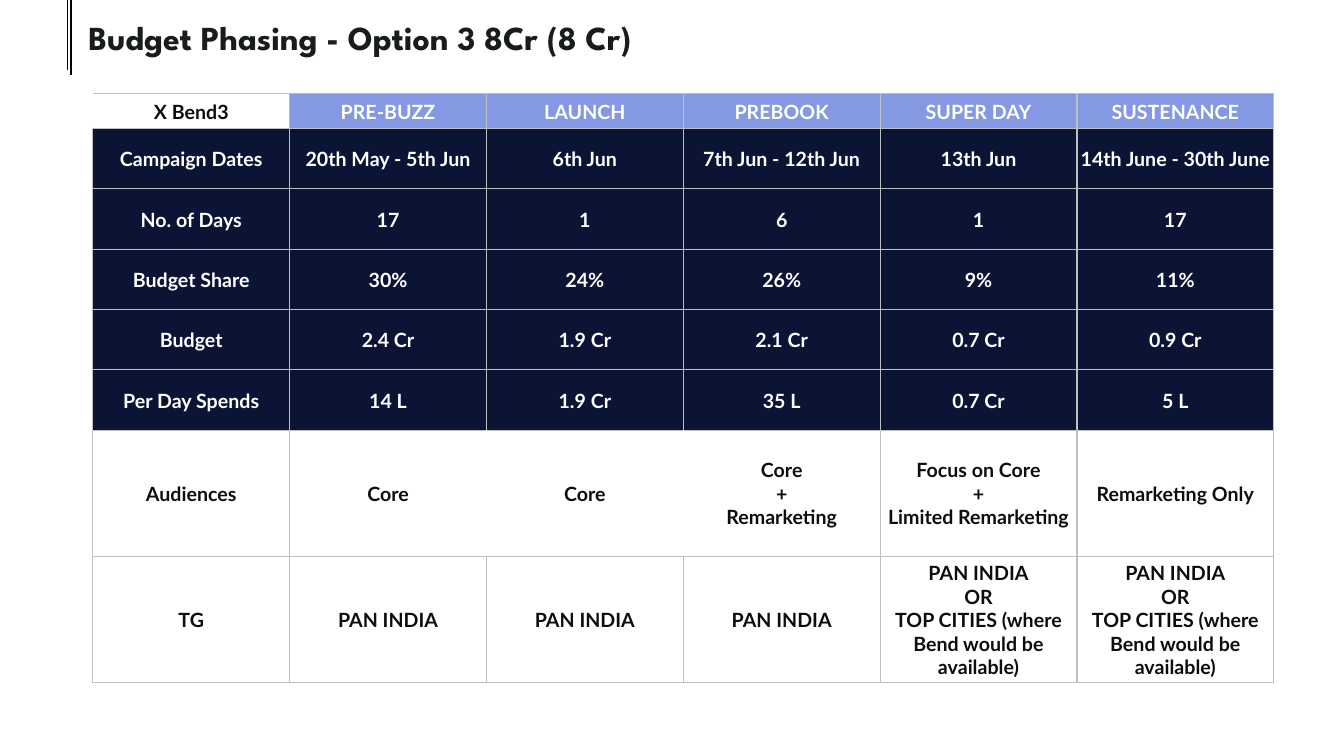
from lxml.etree import SubElement
from pptx import Presentation
from pptx.dml.color import RGBColor
from pptx.enum.shapes import MSO_CONNECTOR as Connector
from pptx.enum.text import MSO_ANCHOR as Anchor, PP_ALIGN as Align
from pptx.oxml import parse_xml
from pptx.oxml.ns import nsdecls, qn
from pptx.util import Cm, Pt

COLOURS = {
    "black": "000000",
    "white": "FFFFFF",
    "title": "191C1C",
    "ink": "0A0F0D",
    "phase": "8598E3",
    "navy": "0C1435",
    "grid": "BFBFBF",
}

CITIES = "PAN INDIA\nOR\nTOP CITIES (where Bend would be available)"
PHASING = [
    ["X Bend3", "PRE-BUZZ", "LAUNCH", "PREBOOK", "SUPER DAY", "SUSTENANCE"],
    ["Campaign Dates", "20th May - 5th Jun", "6th Jun", "7th Jun - 12th Jun",
     "13th Jun", "14th June - 30th June"],
    ["No. of Days", "17", "1", "6", "1", "17"],
    ["Budget Share", "30%", "24%", "26%", "9%", "11%"],
    ["Budget", "2.4 Cr", "1.9 Cr", "2.1 Cr", "0.7 Cr", "0.9 Cr"],
    ["Per Day Spends", "14 L", "1.9 Cr", "35 L", "0.7 Cr", "5 L"],
    ["Audiences", "Core", "Core", "Core\n+\nRemarketing",
     "Focus on Core\n+\nLimited Remarketing", "Remarketing Only"],
    ["TG", "PAN INDIA", "PAN INDIA", "PAN INDIA", CITIES, CITIES],
]
ROW_HEIGHTS = [0.88] + [1.52] * 5 + [3.18] * 2
COLUMN_WIDTH = 4.96
AUDIENCES_ROW = 6

TITLE_FONT = {"name": "League Spartan", "size": Pt(24), "bold": True}
CELL_FONT = {"name": "Lato", "size": Pt(14), "bold": True}
CELL_FORMAT = {
    "vertical_anchor": Anchor.MIDDLE,
    "margin_left": Cm(0.03),
    "margin_right": Cm(0.03),
    "margin_top": Cm(0.03),
    "margin_bottom": 0,
}


def colour(name):
    return RGBColor.from_string(COLOURS[name])


def apply(target, values):
    for attribute, value in values.items():
        setattr(target, attribute, value)


def style_text(frame, font, colour_name, align):
    for paragraph in frame.paragraphs:
        paragraph.alignment = align
        for run in paragraph.runs:
            apply(run.font, font)
            run.font.color.rgb = colour(colour_name)


def add_rule(slide, x, bottom, width):
    rule = slide.shapes.add_connector(
        Connector.STRAIGHT, Cm(x), 0, Cm(x), Cm(bottom))
    rule.line.color.rgb = colour("black")
    rule.line.width = Pt(width)
    SubElement(rule._element.spPr, qn("a:effectLst"))


def add_title(slide, text):
    title = slide.shapes.add_textbox(Cm(1.98), Cm(0.3), Cm(30.38), Cm(3.78))
    title.fill.solid()
    title.fill.fore_color.rgb = colour("white")
    title.text_frame.word_wrap = True
    title.text_frame.text = text
    style_text(title.text_frame, TITLE_FONT, "title", Align.LEFT)


def cell_colours(row, column):
    """Fill and text colour of a cell."""
    if row == 0 and column > 0:
        return "phase", "white"
    if 0 < row < AUDIENCES_ROW:
        return "navy", "white"
    return "white", "ink"


def cell_borders(row, column):
    """Border colour by side; the first three audiences are not divided."""
    borders = dict.fromkeys("LRTB", "grid")
    if row == column == 0:
        borders["L"] = "white"
    if row == AUDIENCES_ROW:
        if column in (2, 3):
            borders["L"] = "white"
        if column in (1, 2):
            borders["R"] = "white"
    return borders


def draw_borders(cell, borders):
    properties = cell._tc.get_or_add_tcPr()
    for index, (side, name) in enumerate(borders.items()):
        properties.insert(index, parse_xml(
            f'<a:ln{side} {nsdecls("a")} w="{Pt(1)}"><a:solidFill>'
            f'<a:srgbClr val="{COLOURS[name]}"/></a:solidFill></a:ln{side}>'))


def add_phasing_table(slide):
    columns = len(PHASING[0])
    table = slide.shapes.add_table(
        len(PHASING), columns, Cm(2.34), Cm(2.36),
        Cm(COLUMN_WIDTH * columns), Cm(sum(ROW_HEIGHTS))).table
    apply(table, {"first_row": False, "horz_banding": False})
    for column in table.columns:
        column.width = Cm(COLUMN_WIDTH)
    for row, height in zip(table.rows, ROW_HEIGHTS):
        row.height = Cm(height)
    for r, texts in enumerate(PHASING):
        for c, text in enumerate(texts):
            cell = table.cell(r, c)
            fill, ink = cell_colours(r, c)
            apply(cell, CELL_FORMAT)
            cell.text = text
            style_text(cell.text_frame, CELL_FONT, ink, Align.CENTER)
            cell.fill.solid()
            cell.fill.fore_color.rgb = colour(fill)
            draw_borders(cell, cell_borders(r, c))


def main():
    deck = Presentation()
    deck.slide_width, deck.slide_height = Cm(33.87), Cm(19.05)
    slide = deck.slides.add_slide(deck.slide_layouts[6])

    # Heading with its double rule
    add_rule(slide, 1.79, 1.88, 1.5)
    add_title(slide, "Budget Phasing - Option 3 8Cr (8 Cr)")
    add_rule(slide, 1.71, 1.77, 0.5)

    # Budget by campaign phase
    add_phasing_table(slide)

    deck.save("out.pptx")


if __name__ == "__main__":
    main()
